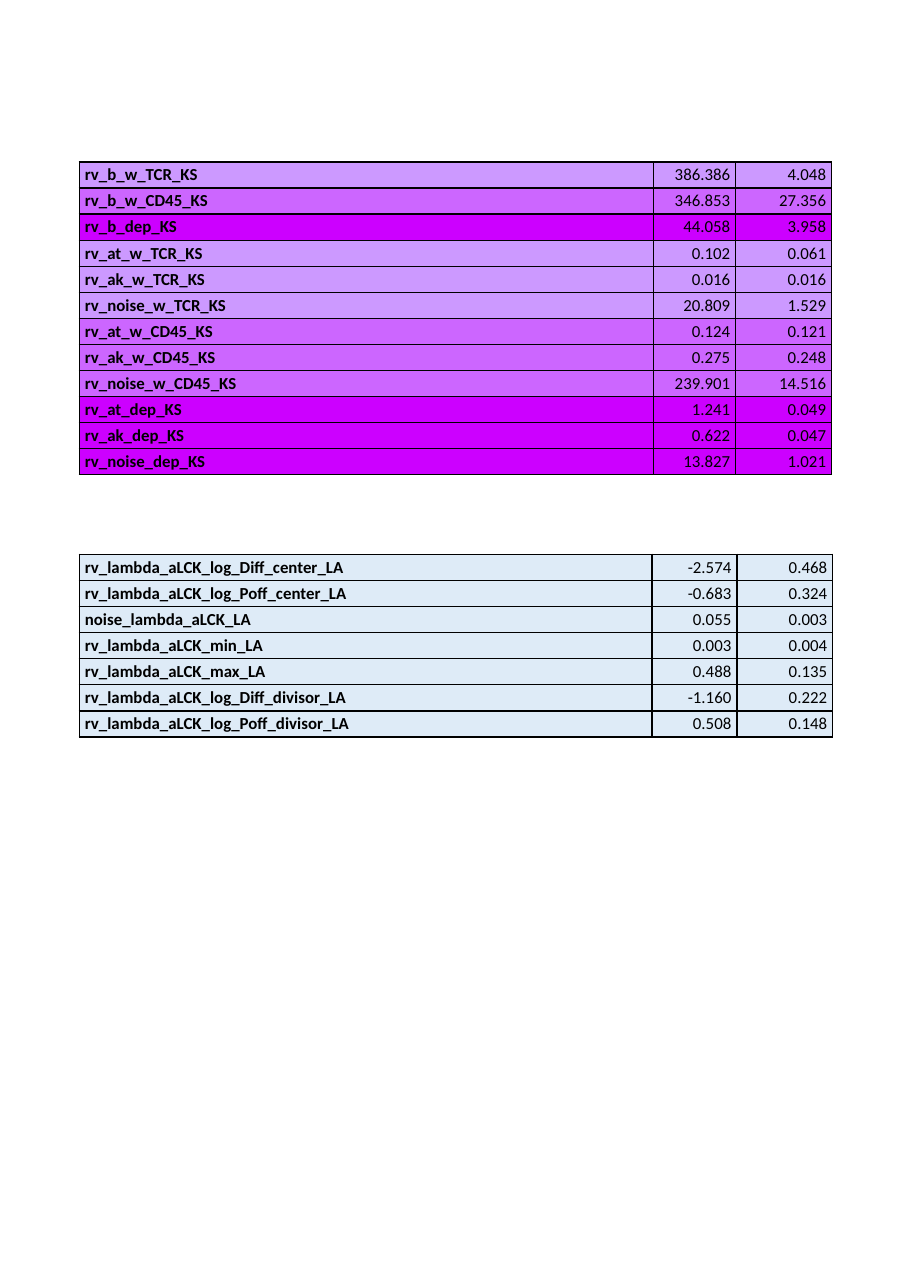
import pptx
import pptx.util
import pptx.dml.color
import pptx.enum.text
import pptx.oxml
import pptx.oxml.ns

Inches = pptx.util.Inches
Pt = pptx.util.Pt
RGB = pptx.dml.color.RGBColor.from_string

COLORS = {
    "ink": "000000",
    "tcr": "CC99FF",
    "cd45": "CC66FF",
    "dep": "CC00FF",
    "pale": "DEEBF7",
}

KS_ROWS = [
    ("rv_b_w_TCR_KS", "386.386", "4.048", "tcr"),
    ("rv_b_w_CD45_KS", "346.853", "27.356", "cd45"),
    ("rv_b_dep_KS", "44.058", "3.958", "dep"),
    ("rv_at_w_TCR_KS", "0.102", "0.061", "tcr"),
    ("rv_ak_w_TCR_KS", "0.016", "0.016", "tcr"),
    ("rv_noise_w_TCR_KS", "20.809", "1.529", "tcr"),
    ("rv_at_w_CD45_KS", "0.124", "0.121", "cd45"),
    ("rv_ak_w_CD45_KS", "0.275", "0.248", "cd45"),
    ("rv_noise_w_CD45_KS", "239.901", "14.516", "cd45"),
    ("rv_at_dep_KS", "1.241", "0.049", "dep"),
    ("rv_ak_dep_KS", "0.622", "0.047", "dep"),
    ("rv_noise_dep_KS", "13.827", "1.021", "dep"),
]

LA_ROWS = [
    ("rv_lambda_aLCK_log_Diff_center_LA", "-2.574", "0.468", "pale"),
    ("rv_lambda_aLCK_log_Poff_center_LA", "-0.683", "0.324", "pale"),
    ("noise_lambda_aLCK_LA", "0.055", "0.003", "pale"),
    ("rv_lambda_aLCK_min_LA", "0.003", "0.004", "pale"),
    ("rv_lambda_aLCK_max_LA", "0.488", "0.135", "pale"),
    ("rv_lambda_aLCK_log_Diff_divisor_LA", "-1.160", "0.222", "pale"),
    ("rv_lambda_aLCK_log_Poff_divisor_LA", "0.508", "0.148", "pale"),
]


def add_edges(cell):
    props = cell._tc.get_or_add_tcPr()
    for side in ("lnL", "lnR", "lnT", "lnB"):
        props.append(pptx.oxml.parse_xml(
            f'<a:{side} {pptx.oxml.ns.nsdecls("a")} w="{Pt(1)}">'
            f'<a:solidFill><a:srgbClr val="{COLORS["ink"]}"/></a:solidFill>'
            f'</a:{side}>'))


def fill_cell(cell, text, tint, label):
    add_edges(cell)
    cell.fill.solid()
    cell.fill.fore_color.rgb = RGB(COLORS[tint])
    cell.margin_left = cell.margin_right = Inches(0.05)
    cell.margin_top = cell.margin_bottom = Inches(0.02)
    cell.vertical_anchor = pptx.enum.text.MSO_ANCHOR.MIDDLE
    para = cell.text_frame.paragraphs[0]
    para.text = text
    align = pptx.enum.text.PP_ALIGN
    para.alignment = align.LEFT if label else align.RIGHT
    font = para.runs[0].font
    font.name = "Calibri"
    font.size = Pt(11)
    font.bold = label
    font.color.rgb = RGB(COLORS["ink"])


def add_grid(slide, box, widths, rows):
    frame = slide.shapes.add_table(len(rows), len(widths), *map(Inches, box))
    table = frame.table
    table.first_row = table.horz_banding = False
    for column, width in zip(table.columns, widths):
        column.width = Inches(width)
    for line, (*texts, tint) in zip(table.rows, rows):
        line.height = Inches(box[3] / len(rows))
        for index, (cell, text) in enumerate(zip(line.cells, texts)):
            fill_cell(cell, text, tint, index == 0)


deck = pptx.Presentation()
deck.slide_width = Inches(8.27)
deck.slide_height = Inches(11.69)
page = deck.slides.add_slide(deck.slide_layouts[6])
add_grid(page, (0.72, 5.03, 6.83, 1.66), (5.2, 0.77, 0.87), LA_ROWS)
add_grid(page, (0.72, 1.47, 6.83, 2.84), (5.21, 0.75, 0.87), KS_ROWS)
deck.save("out.pptx")
